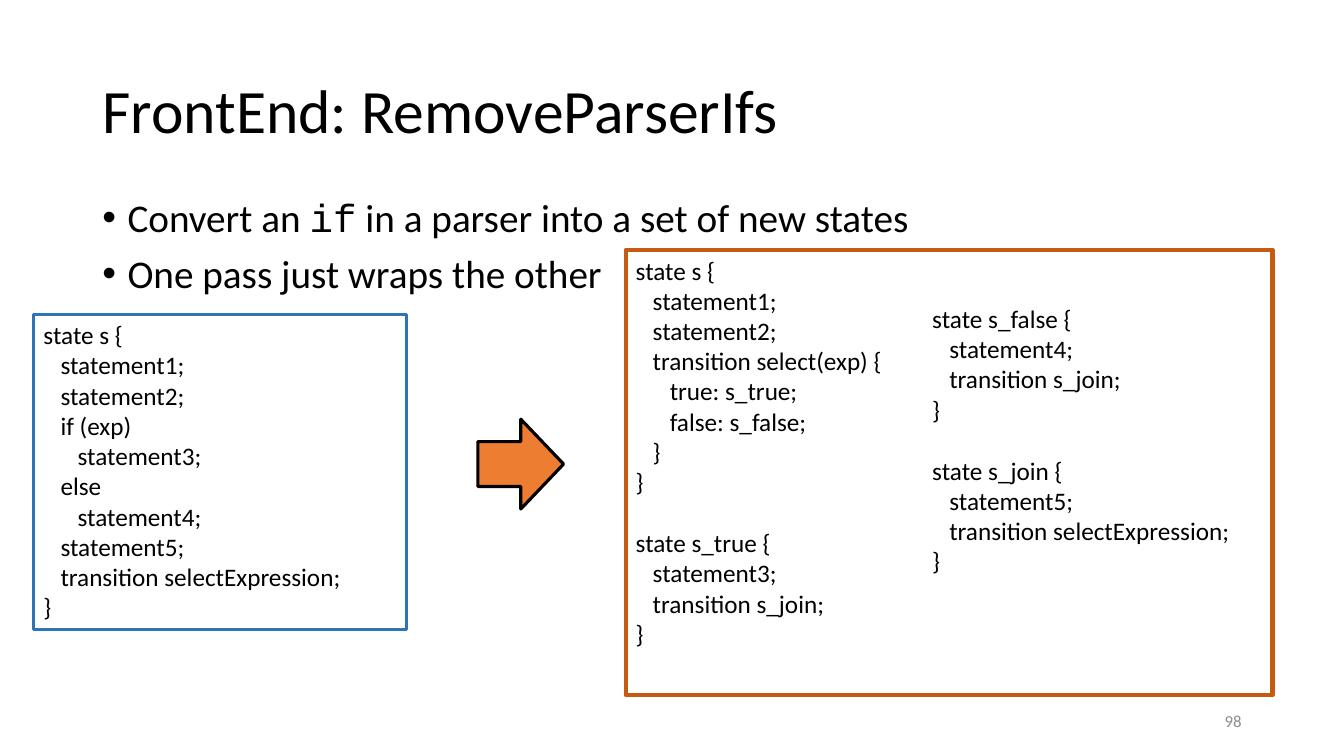
from dataclasses import dataclass
from typing import Any, Optional

from lxml import etree
from pptx import Presentation
from pptx import util as u
from pptx.dml.color import RGBColor
from pptx.enum import shapes, text
from pptx.oxml.ns import qn

BLACK = RGBColor(0x00, 0x00, 0x00)
GRAY = RGBColor(0x8C, 0x8C, 0x8C)
ORANGE = RGBColor(0xED, 0x7D, 0x31)
RUST = RGBColor(0xC5, 0x5A, 0x11)
BLUE = RGBColor(0x2E, 0x75, 0xB6)

COLUMNS, ROWS = 160, 90
WIDTH, HEIGHT = u.Inches(13.33), u.Inches(7.5)
BODY_FONT, CODE_FONT = "Calibri", "Courier New"
BLANK_LINE = u.Pt(22)


@dataclass(frozen=True)
class Area:
    """A place on the slide, in grid columns and rows."""
    column: float
    row: float
    columns: float
    rows: float


@dataclass(frozen=True)
class Listing:
    """Code blocks set one under the other, a line apart, in an optional frame."""
    area: Area
    blocks: tuple[str, ...]
    border: Optional[RGBColor] = None
    border_width: float = 0


TITLE_AREA = Area(11, 4.8, 138, 17.4)
BULLET_AREA = Area(11, 23, 138, 58)
NUMBER_AREA = Area(113, 83.4, 36, 4.8)
ARROW_AREA = Area(56.9, 49.9, 10.2, 10.7)

BULLETS = (
    (("Convert an ", BODY_FONT), ("if", CODE_FONT),
     (" in a parser into a set of new states", BODY_FONT)),
    (("One pass just wraps the other", BODY_FONT),),
)

SPLIT_STATES = Listing(Area(74.5, 29.75, 77, 53), (
    """state s {
   statement1;
   statement2;
   transition select(exp) {
      true: s_true;
      false: s_false;
   }
}""",
    """state s_true {
   statement3;
   transition s_join;
}"""), RUST, 3)

PARSER_WITH_IF = Listing(Area(4, 37.45, 44.4, 37.55), (
    """state s {
   statement1;
   statement2;
   if (exp)
      statement3;
   else
      statement4;
   statement5;
   transition selectExpression;
}""",), BLUE, 2.25)

OTHER_STATES = Listing(Area(109.8, 35.5, 39.7, 34), (
    """state s_false {
   statement4;
   transition s_join;
}""",
    """state s_join {
   statement5;
   transition selectExpression;
}"""))


def bounds(area: Area) -> tuple[int, int, int, int]:
    return (round(WIDTH * area.column / COLUMNS), round(HEIGHT * area.row / ROWS),
            round(WIDTH * area.columns / COLUMNS), round(HEIGHT * area.rows / ROWS))


def apply_format(target: Any, values: dict[str, Any]) -> None:
    for name, value in values.items():
        setattr(target, name, value)


def add_span(para: Any, words: str, size: float, color: RGBColor = BLACK,
             font: str = BODY_FONT) -> None:
    span = para.add_run()
    span.text = words
    apply_format(span.font, {"name": font, "size": u.Pt(size)})
    span.font.color.rgb = color


def prepare_frame(box: Any, anchor: text.MSO_ANCHOR = text.MSO_ANCHOR.TOP) -> Any:
    frame = box.text_frame
    apply_format(frame, {"word_wrap": True, "vertical_anchor": anchor,
                         "auto_size": text.MSO_AUTO_SIZE.NONE})
    return frame


def next_para(frame: Any, first: bool) -> Any:
    return frame.paragraphs[0] if first else frame.add_paragraph()


def set_title(page: Any, words: str) -> None:
    box = page.shapes.title
    apply_format(box, dict(zip(("left", "top", "width", "height"), bounds(TITLE_AREA))))
    para = prepare_frame(box, text.MSO_ANCHOR.MIDDLE).paragraphs[0]
    apply_format(para, {"alignment": text.PP_ALIGN.LEFT, "line_spacing": 0.9})
    add_span(para, words, 44)


def add_bullets(page: Any) -> None:
    frame = prepare_frame(page.shapes.add_textbox(*bounds(BULLET_AREA)))
    for index, spans in enumerate(BULLETS):
        para = next_para(frame, index == 0)
        apply_format(para, {"line_spacing": 0.9, "space_before": u.Pt(10 if index else 0)})
        properties = para._p.get_or_add_pPr()
        properties.set("marL", str(u.Inches(0.25)))
        properties.set("indent", str(-u.Inches(0.25)))
        etree.SubElement(properties, qn("a:buFont"), typeface="Arial")
        etree.SubElement(properties, qn("a:buChar"), char="•")
        for words, font in spans:
            add_span(para, words, 28, font=font)


def add_number(page: Any, number: str) -> None:
    box = page.shapes.add_textbox(*bounds(NUMBER_AREA))
    para = prepare_frame(box, text.MSO_ANCHOR.MIDDLE).paragraphs[0]
    para.alignment = text.PP_ALIGN.RIGHT
    add_span(para, number, 12, GRAY)


def add_outlined(page: Any, kind: shapes.MSO_SHAPE, area: Area,
                 color: RGBColor, width: float) -> Any:
    """Add an unfilled preset shape with a plain outline."""
    shape = page.shapes.add_shape(kind, *bounds(area))
    shape.shadow.inherit = False
    shape.fill.background()
    shape.line.color.rgb = color
    shape.line.width = u.Pt(width)
    return shape


def add_listing(page: Any, listing: Listing) -> None:
    if listing.border is None:
        box = page.shapes.add_textbox(*bounds(listing.area))
    else:
        box = add_outlined(page, shapes.MSO_SHAPE.RECTANGLE, listing.area,
                           listing.border, listing.border_width)
    frame = prepare_frame(box)
    for block_index, block in enumerate(listing.blocks):
        for line_index, line in enumerate(block.splitlines()):
            para = next_para(frame, block_index == line_index == 0)
            para.alignment = text.PP_ALIGN.LEFT
            if block_index and line_index == 0:
                para.space_before = BLANK_LINE
            add_span(para, line, 18)


def add_arrow(page: Any) -> None:
    arrow = add_outlined(page, shapes.MSO_SHAPE.RIGHT_ARROW, ARROW_AREA, BLACK, 2.25)
    arrow.fill.solid()
    arrow.fill.fore_color.rgb = ORANGE


def main() -> None:
    deck = Presentation()
    apply_format(deck, {"slide_width": WIDTH, "slide_height": HEIGHT})
    page = deck.slides.add_slide(deck.slide_layouts.get_by_name("Title Only"))
    set_title(page, "FrontEnd: RemoveParserIfs")
    add_bullets(page)
    add_number(page, "98")
    for listing in (SPLIT_STATES, PARSER_WITH_IF, OTHER_STATES):
        add_listing(page, listing)
    add_arrow(page)
    deck.save("out.pptx")


if __name__ == "__main__":
    main()
